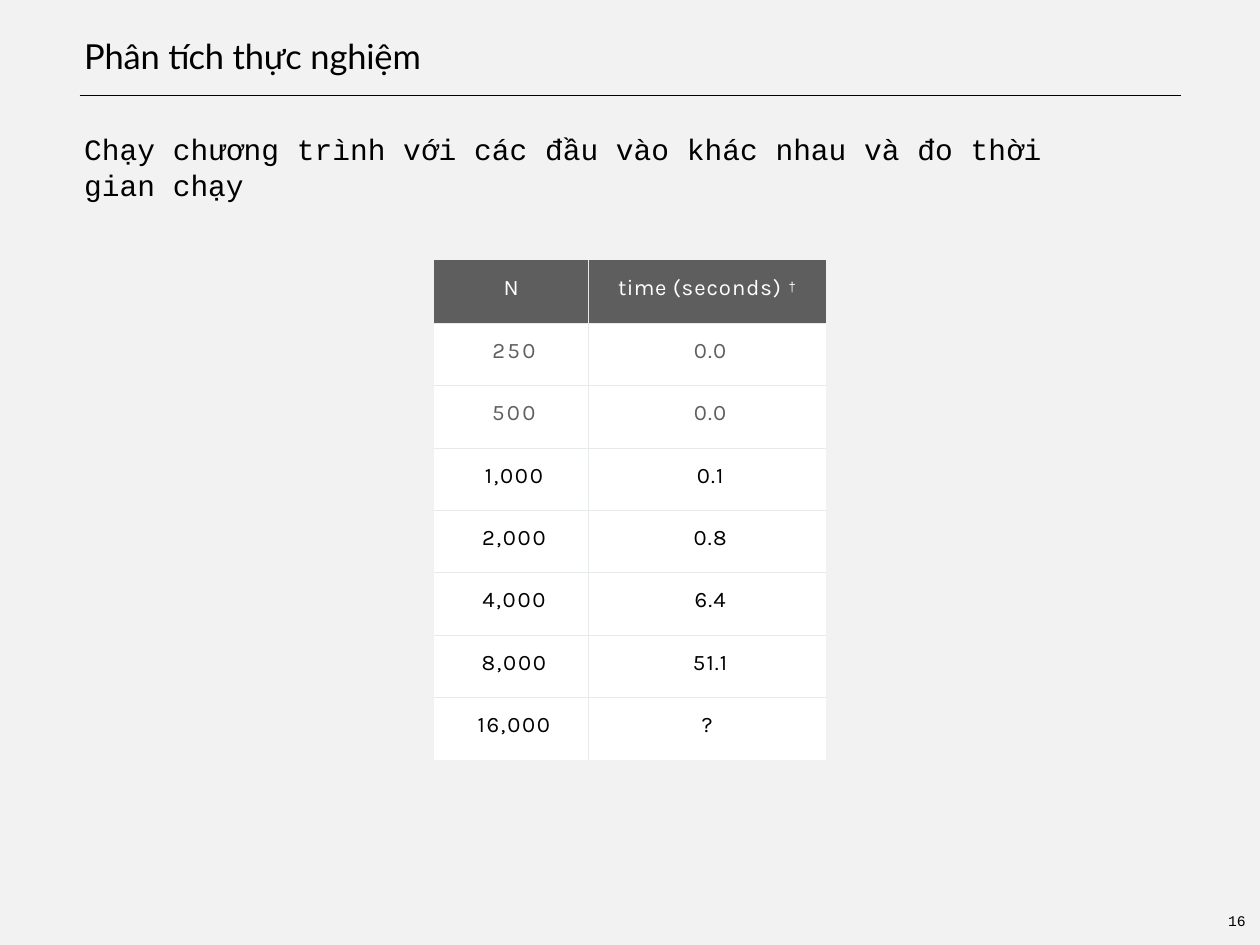
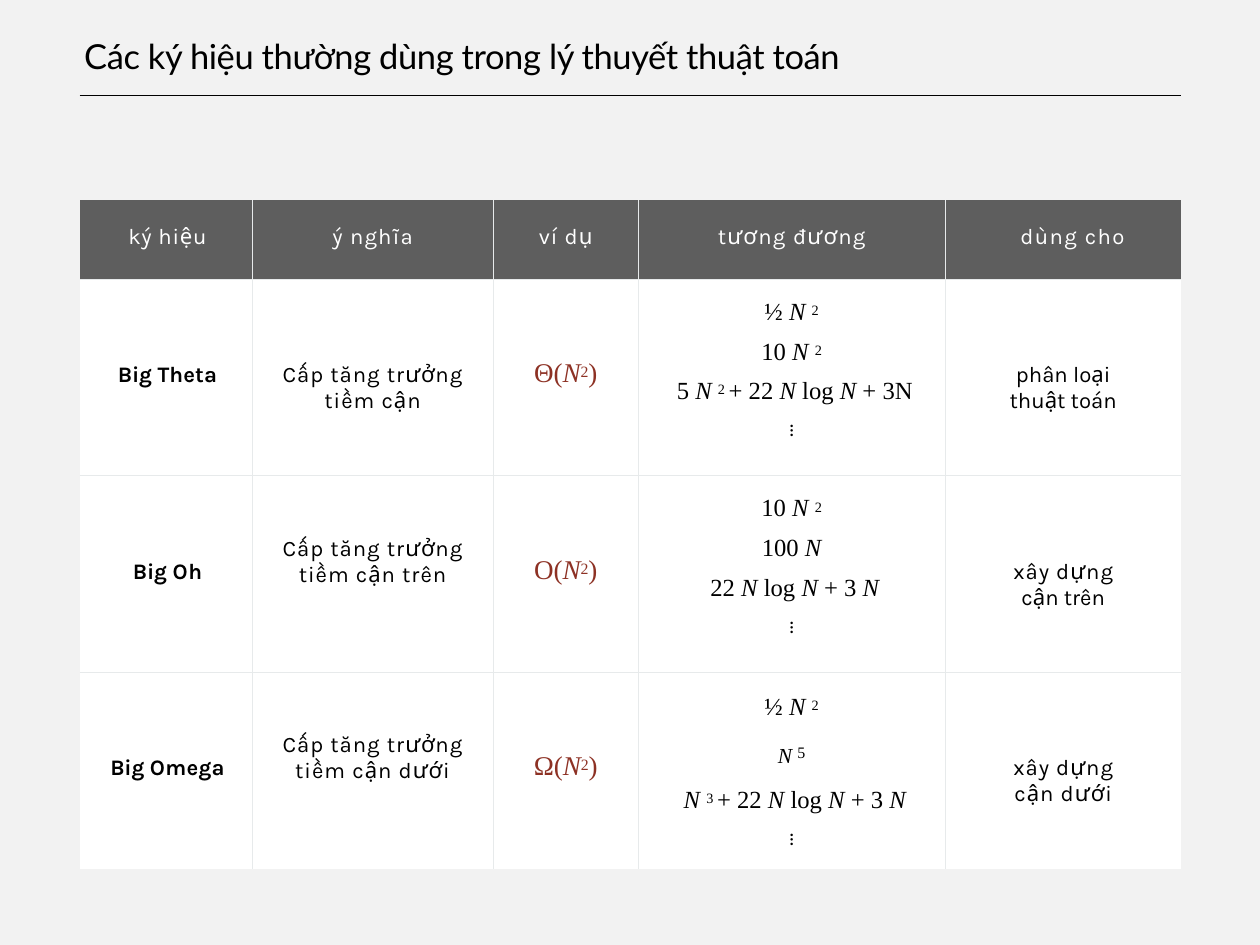
from dataclasses import dataclass, field
from typing import Any

import pptx
import pptx.dml.color
import pptx.enum.shapes
import pptx.enum.text
import pptx.oxml
import pptx.oxml.ns
import pptx.util
from pptx.util import Inches

COLORS = {
    "background": "F2F2F2", "header": "5E5E5E", "white": "FFFFFF",
    "border": "E7EAEB", "black": "000000", "muted": "606060", "red": "8D3124",
}
STYLES: dict[str, dict[str, Any]] = {
    "title": {"name": "Lato", "size": 28, "color": "black"},
    "body": {"name": "Courier New", "size": 24, "color": "black"},
    "page": {"name": "Courier New", "size": 12, "color": "black"},
    "header": {"name": "Karla", "size": 18, "color": "white"},
    "cell": {"name": "Karla", "size": 18, "color": "black"},
    "muted": {"name": "Karla", "size": 18, "color": "muted"},
    "math": {"name": "Times New Roman", "size": 20, "color": "black"},
    "notation": {"name": "Times New Roman", "size": 22, "color": "red"},
}
XML_SCALE = {"spc": 100, "baseline": 1000}
LEFT, CENTER = pptx.enum.text.PP_ALIGN.LEFT, pptx.enum.text.PP_ALIGN.CENTER
RULE_LEFT, RULE_RIGHT, RULE_TOP = 0.9, 13.33, 1.08
TEXT_LEFT = 0.95


@dataclass
class Run:
    text: str
    fmt: dict[str, Any] = field(default_factory=dict)


@dataclass
class Para:
    runs: list[Run]
    style: str
    before: float = 0
    indent: float = 0
    align: Any = CENTER


@dataclass
class Cell:
    paras: list[Para]
    top: float
    fill: str = "white"


@dataclass
class Grid:
    left: float
    top: float
    widths: list[float]
    heights: list[float]
    rows: list[list[Cell]]


@dataclass
class Notation:
    name: str
    name_spc: float
    meaning: list[str]
    meaning_top: float
    example: str
    equivalents: list[Para]
    equivalents_top: float
    use: list[Run]


def rgb(color: str):
    return pptx.dml.color.RGBColor.from_string(COLORS[color])


def one(text: str, style: str, spc: float = 0, **layout) -> Para:
    """A paragraph of a single run."""
    return Para([Run(text, {"spc": spc})], style, **layout)


def formula(text: str, style: str = "math", sep: str = " ", **layout) -> Para:
    """Tokens are split at spaces: N is italic, ^ marks a superscript."""
    tokens = text.split()
    runs = []
    for i, token in enumerate(tokens):
        fmt = {"italic": True} if token == "N" else {}
        if token.startswith("^"):
            fmt = {"baseline": 19}
        tail = sep if i < len(tokens) - 1 else ""
        runs.append(Run(token.lstrip("^") + tail, fmt))
    return Para(runs, style, **layout)


def dots() -> Para:
    return Para([Run("⋮", {"name": "Courier New"})], "math", before=9)


def add_run(p, run: Run, style: str) -> None:
    r = p.add_run()
    r.text = run.text
    for key, value in (STYLES[style] | run.fmt).items():
        if key in XML_SCALE:
            r._r.get_or_add_rPr().set(key, str(round(value * XML_SCALE[key])))
        elif key == "color":
            r.font.color.rgb = rgb(value)
        else:
            setattr(r.font, key, pptx.util.Pt(value) if key == "size" else value)


def fill_text(tf, paras: list[Para]) -> None:
    for i, para in enumerate(paras):
        p = tf.add_paragraph() if i else tf.paragraphs[0]
        p.alignment = para.align
        p.space_before = pptx.util.Pt(para.before)
        if para.indent:
            p._p.get_or_add_pPr().set("marL", str(Inches(para.indent)))
        for run in para.runs:
            add_run(p, run, para.style)


def set_margins(target, top: float = 0) -> None:
    for side in ("left", "right", "bottom"):
        setattr(target, f"margin_{side}", 0)
    target.margin_top = Inches(top)


def fill_box(sp, box: tuple[float, float, float, float], para: Para) -> None:
    for name, value in zip(("left", "top", "width", "height"), box):
        setattr(sp, name, Inches(value))
    tf = sp.text_frame
    set_margins(tf, 0.01)
    tf.word_wrap = True
    tf.auto_size = pptx.enum.text.MSO_AUTO_SIZE.NONE
    tf.vertical_anchor = pptx.enum.text.MSO_ANCHOR.TOP
    fill_text(tf, [para])


def add_text(slide, box: tuple[float, float, float, float], para: Para) -> None:
    fill_box(slide.shapes.add_textbox(0, 0, 0, 0), box, para)


def add_slide(prs, title: str, spc: float):
    """A slide with the shared title and the rule below it."""
    slide = prs.slides.add_slide(prs.slide_layouts[5])
    fill_box(slide.shapes.title, (TEXT_LEFT, 0.39, 12, 0.48),
             one(title, "title", spc, align=LEFT))
    rule = slide.shapes.add_connector(
        pptx.enum.shapes.MSO_CONNECTOR.STRAIGHT, Inches(RULE_LEFT),
        Inches(RULE_TOP), Inches(RULE_RIGHT), Inches(RULE_TOP))
    rule.line.color.rgb = rgb("black")
    rule.line.width = pptx.util.Pt(1)
    rule._element.spPr.append(pptx.oxml.parse_xml(
        f"<a:effectLst {pptx.oxml.ns.nsdecls('a')}/>"))
    return slide


def set_borders(cell, inner: dict[str, bool]) -> None:
    """Draws the inner edges of a cell and hides the outer ones."""
    for side, shown in inner.items():
        fill = (f'<a:solidFill><a:srgbClr val="{COLORS["border"]}"/></a:solidFill>'
                if shown else "<a:noFill/>")
        cell._tc.get_or_add_tcPr().append(pptx.oxml.parse_xml(
            f'<a:ln{side} {pptx.oxml.ns.nsdecls("a")} w="3175">{fill}</a:ln{side}>'))


def add_grid(slide, grid: Grid) -> None:
    n_rows, n_cols = len(grid.heights), len(grid.widths)
    table = slide.shapes.add_table(
        n_rows, n_cols, Inches(grid.left), Inches(grid.top),
        Inches(sum(grid.widths)), Inches(sum(grid.heights))).table
    table.first_row = table.horz_banding = False
    for column, width in zip(table.columns, grid.widths):
        column.width = Inches(width)
    for row, height in zip(table.rows, grid.heights):
        row.height = Inches(height)
    for i, cells in enumerate(grid.rows):
        for j, content in enumerate(cells):
            cell = table.cell(i, j)
            set_borders(cell, {"L": j > 0, "R": j < n_cols - 1,
                               "T": i > 0, "B": i < n_rows - 1})
            cell.fill.solid()
            cell.fill.fore_color.rgb = rgb(content.fill)
            set_margins(cell, content.top)
            fill_text(cell.text_frame, content.paras)


def timing_slide(prs) -> None:
    slide = add_slide(prs, "Phân tích thực nghiệm", -0.1)
    add_text(slide, (TEXT_LEFT, 1.47, 11.13, 0.82),
             one("Chạy chương trình với các đầu vào khác nhau và đo thời gian chạy",
                 "body", align=LEFT))
    add_text(slide, (13.86, 10.29, 0.3, 0.23), one("16", "page", align=LEFT))
    top = 0.17
    time_label = Para([Run("time ", {"spc": 0.4}), Run("(seconds) ", {"spc": 0.8}),
                       Run("†", {"name": "Courier New", "baseline": 21})], "header")
    rows = [[Cell([one("N", "header")], top, "header"),
             Cell([time_label], top, "header")]]
    timings = [("250", "0.0"), ("500", "0.0"), ("1,000", "0.1"), ("2,000", "0.8"),
               ("4,000", "6.4"), ("8,000", "51.1"), ("16,000", "?")]
    for n, seconds in timings:
        small = "," not in n
        style = "muted" if small else "cell"
        known = seconds != "?"
        rows.append([
            Cell([one(n, style, 1.9 if small else 1.4, indent=0.06)], top),
            Cell([one(seconds, style, 0.9 if known else 0,
                      indent=0.07 if known else 0)], top)])
    add_grid(slide, Grid(4.9, 2.94, [1.74, 2.68], [0.705] * len(rows), rows))


def notation_row(n: Notation) -> list[Cell]:
    name = Para([Run("Big ", {"bold": True, "spc": -0.1}),
                 Run(n.name, {"bold": True, "spc": n.name_spc})], "cell", indent=0.04)
    return [
        Cell([name], 0.94),
        Cell([one(line, "cell", 0.8) for line in n.meaning], n.meaning_top),
        Cell([formula(n.example, "notation", "")], 0.9),
        Cell(n.equivalents + [dots()], n.equivalents_top),
        Cell([Para([run], "cell") for run in n.use], 0.94),
    ]


def notation_slide(prs) -> None:
    slide = add_slide(prs, "Các ký hiệu thường dùng trong lý thuyết thuật toán", -0.3)
    headers = [("ký hiệu", 0.6, 0.04), ("ý nghĩa", 0.9, 0), ("ví dụ", 0.8, 0),
               ("tương đương", 1, 0), ("dùng cho", 1.1, 0.21)]
    n_to_fifth = Para([Run("N ", {"size": 30, "baseline": -13, "italic": True}),
                       Run("5", {"size": 13})], "math", before=4.3)
    wide = {"spc": 0.8}
    growth = "Cấp tăng trưởng"
    notations = [
        Notation("Theta", 0.1, [growth, "tiềm cận"], 0.94, "Θ( N ^2 )",
                 [formula("½ N ^2"), formula("10 N ^2", before=10),
                  formula("5 N ^2 + 22 N log N + 3N", before=10, indent=0.07)],
                 0.22, [Run("phân loại"), Run("thuật toán")]),
        Notation("Oh", 0.6, [growth, "tiềm cận trên"], 0.68, "O( N ^2 )",
                 [formula("10 N ^2"), formula("100 N", before=10),
                  formula("22 N log N + 3 N", before=10, indent=0.07)],
                 0.22, [Run("xây dựng", wide), Run("cận trên")]),
        Notation("Omega", 0.2, [growth, "tiềm cận dưới"], 0.68, "Ω( N ^2 )",
                 [formula("½ N ^2"), n_to_fifth,
                  formula("N ^3 + 22 N log N + 3 N", before=14.7, indent=0.07)],
                 0.24, [Run("xây dựng", wide), Run("cận dưới", wide)]),
    ]
    rows = [[Cell([one(text, "header", spc, indent=indent)], 0.27, "header")
             for text, spc, indent in headers]]
    rows += [notation_row(n) for n in notations]
    add_grid(slide, Grid(RULE_LEFT, 2.26, [1.94, 2.73, 1.63, 3.47, 2.66],
                         [0.89] + [2.22] * len(notations), rows))


def main() -> None:
    prs = pptx.Presentation()
    prs.slide_width, prs.slide_height = Inches(14.22), Inches(10.67)
    background = prs.slide_master.background.fill
    background.solid()
    background.fore_color.rgb = rgb("background")
    timing_slide(prs)
    notation_slide(prs)
    prs.save("out.pptx")


if __name__ == "__main__":
    main()
